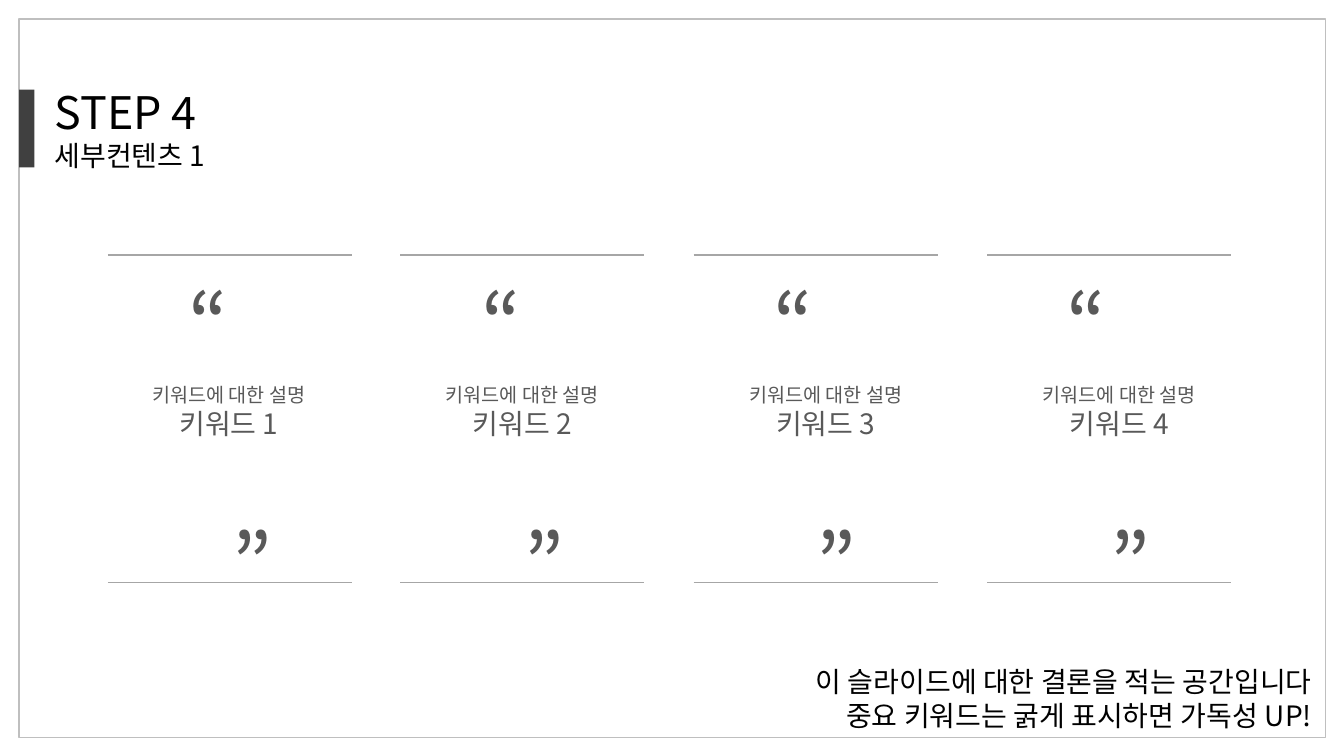
"""Build the STEP 4 slide with four quoted keyword cards."""
import dataclasses

import lxml.etree
import pptx
import pptx.dml.color
import pptx.enum.shapes
import pptx.enum.text
import pptx.oxml.ns
import pptx.shapes.base
import pptx.slide
import pptx.text.text
import pptx.util

Inches = pptx.util.Inches
Pt = pptx.util.Pt
RGBColor = pptx.dml.color.RGBColor
Align = pptx.enum.text.PP_ALIGN

FONT = "Noto Sans CJK KR"
BLACK = RGBColor(0x00, 0x00, 0x00)
BAR_GRAY = RGBColor(0x40, 0x40, 0x40)
TEXT_GRAY = RGBColor(0x59, 0x59, 0x59)
RULE_GRAY = RGBColor(0xA6, 0xA6, 0xA6)
FRAME_GRAY = RGBColor(0xBF, 0xBF, 0xBF)

RULE_WIDTH = 2.42
RULE_TOPS = (2.53, 5.78)
QUOTE_WIDTH = 4.1
QUOTE_SHIFT = 0.43


@dataclasses.dataclass(frozen=True)
class Card:
    keyword: str
    rule_left: float
    quote_left: float
    label_left: float


@dataclasses.dataclass(frozen=True)
class Line:
    text: str
    size: int


CARDS = (
    Card("키워드 1", 1.07, 0.02, 0.96),
    Card("키워드 2", 3.97, 2.92, 3.87),
    Card("키워드 3", 6.88, 5.82, 6.88),
    Card("키워드 4", 9.79, 8.73, 9.79),
)


def add_child(parent: lxml.etree._Element, tag: str, **attributes: str) -> lxml.etree._Element:
    return lxml.etree.SubElement(parent, pptx.oxml.ns.qn(tag), **attributes)


def format_run(run: pptx.text.text._Run, size: int, color: RGBColor, opacity: int) -> None:
    run.font.size = Pt(size)
    run.font.name = FONT
    run.font.color.rgb = color
    properties = run.font._element
    add_child(properties, "a:ea", typeface=FONT)
    outline = add_child(properties, "a:ln", w=str(Pt(0.75)))
    fill = add_child(outline, "a:solidFill")
    outline_color = add_child(fill, "a:srgbClr", val=str(color))
    add_child(outline_color, "a:alpha", val=str(opacity * 1000))
    properties.insert(0, outline)


def write_text(
    shape: pptx.shapes.base.BaseShape,
    lines: tuple[Line, ...],
    *,
    color: RGBColor = TEXT_GRAY,
    opacity: int = 30,
    alignment: Align = Align.CENTER,
) -> None:
    frame = shape.text_frame
    frame.word_wrap = True
    frame.vertical_anchor = pptx.enum.text.MSO_ANCHOR.MIDDLE
    frame.auto_size = pptx.enum.text.MSO_AUTO_SIZE.SHAPE_TO_FIT_TEXT
    for index, line in enumerate(lines):
        paragraph = frame.add_paragraph() if index else frame.paragraphs[0]
        paragraph.alignment = alignment
        run = paragraph.add_run()
        run.text = line.text
        format_run(run, line.size, color, opacity)


def add_text_box(
    slide: pptx.slide.Slide, left: float, top: float, width: float, height: float
) -> pptx.shapes.base.BaseShape:
    return slide.shapes.add_textbox(Inches(left), Inches(top), Inches(width), Inches(height))


def add_rectangle(
    slide: pptx.slide.Slide, left: float, top: float, width: float, height: float
) -> pptx.shapes.base.BaseShape:
    shape = slide.shapes.add_shape(
        pptx.enum.shapes.MSO_SHAPE.RECTANGLE,
        Inches(left), Inches(top), Inches(width), Inches(height),
    )
    shape.shadow.inherit = False
    return shape


def add_rule(slide: pptx.slide.Slide, left: float, top: float) -> None:
    connector = slide.shapes.add_connector(
        pptx.enum.shapes.MSO_CONNECTOR.STRAIGHT,
        Inches(left), Inches(top), Inches(left + RULE_WIDTH), Inches(top),
    )
    connector.line.color.rgb = RULE_GRAY
    connector.line.width = Pt(0.75)
    add_child(connector._element.spPr, "a:effectLst")


def add_card(slide: pptx.slide.Slide, card: Card) -> None:
    for top in RULE_TOPS:
        add_rule(slide, card.rule_left, top)
    for mark, left, top in (
        ("“", card.quote_left, 2.64),
        ("”", card.quote_left + QUOTE_SHIFT, 5.02),
    ):
        write_text(add_text_box(slide, left, top, QUOTE_WIDTH, 1.11), (Line(mark, 60),))
    label = add_text_box(slide, card.label_left, 3.75, 2.62, 0.67)
    write_text(label, (Line("키워드에 대한 설명", 14), Line(card.keyword, 20)))


def add_title(slide: pptx.slide.Slide) -> None:
    title = slide.shapes.title
    title.left, title.top = Inches(0.44), Inches(0.78)
    title.width, title.height = Inches(5.31), Inches(0.98)
    write_text(
        title, (Line("STEP 4", 32), Line("세부컨텐츠 1", 20)),
        color=BLACK, opacity=50, alignment=Align.LEFT,
    )


def main() -> None:
    presentation = pptx.Presentation()
    presentation.slide_width = Inches(13.33)
    presentation.slide_height = Inches(7.5)
    slide = presentation.slides.add_slide(presentation.slide_layouts.get_by_name("Title Only"))

    page_frame = add_rectangle(slide, 0.19, 0.19, 12.96, 7.13)
    page_frame.fill.background()
    page_frame.line.color.rgb = FRAME_GRAY
    page_frame.line.width = Pt(1)
    title_bar = add_rectangle(slide, 0.19, 0.89, 0.15, 0.77)
    title_bar.fill.solid()
    title_bar.fill.fore_color.rgb = BAR_GRAY
    title_bar.line.fill.background()

    add_title(slide)
    for card in CARDS:
        add_card(slide, card)
    write_text(
        add_text_box(slide, 7.49, 6.54, 5.62, 0.77),
        (
            Line("이 슬라이드에 대한 결론을 적는 공간입니다", 20),
            Line("중요 키워드는 굵게 표시하면 가독성 UP!", 20),
        ),
        color=BLACK, opacity=50, alignment=Align.RIGHT,
    )
    presentation.save("out.pptx")


if __name__ == "__main__":
    main()
